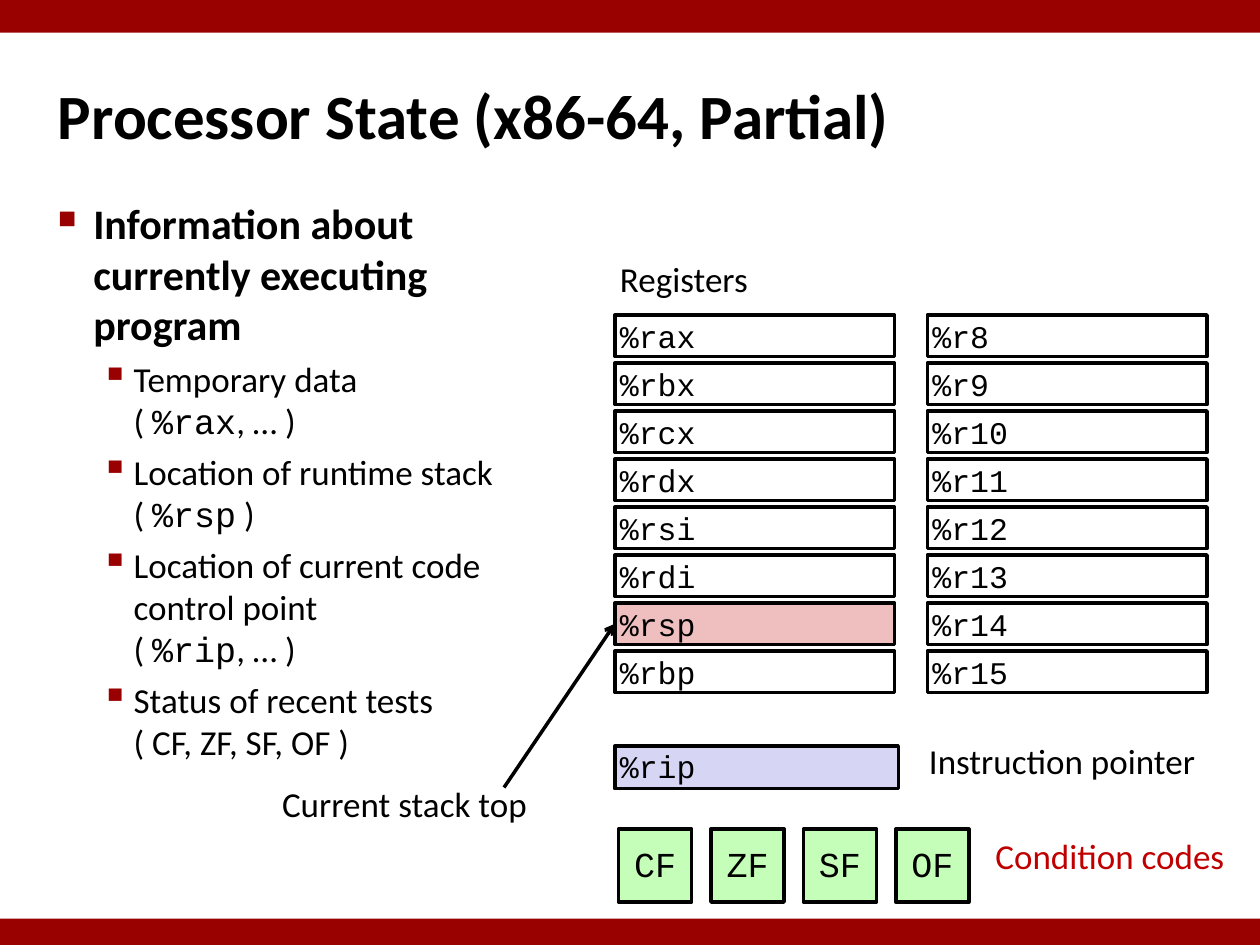
import pptx
import pptx.util
import pptx.dml.color
import pptx.enum.shapes
import pptx.enum.text
import pptx.oxml
import pptx.oxml.ns

Inches, Pt = pptx.util.Inches, pptx.util.Pt
ALIGN, ANCHOR = pptx.enum.text.PP_ALIGN, pptx.enum.text.MSO_ANCHOR
RECTANGLE = pptx.enum.shapes.MSO_SHAPE.RECTANGLE

THEME = {
    "text": "Calibri", "code": "Courier New",
    "title_size": 36, "heading_size": 24, "body_size": 20, "register_size": 18,
    "black": "000000", "bar": "990000", "accent": "C00000",
    "stack": "EFBFBF", "pointer": "D6D6F4", "flag": "C5FEB8",
}

# Grid: slide size, two register columns and evenly spaced rows
WIDTH, HEIGHT = 10, 7.5
MARGIN, BAR_HEIGHT = 0.42, 0.26
COLUMNS = (4.88, 7.36)
FIRST_ROW, ROW_STEP = 2.5, 0.381
CELL_WIDTH, CELL_HEIGHT = 2.22, 0.33
FLAG_LEFT, FLAG_TOP, FLAG_STEP, FLAG_SIZE = 4.91, 6.58, 0.733, 0.58


def write(paragraph, text, size, font="text", color="black", bold=False):
    """Add one formatted run to a paragraph."""
    run = paragraph.add_run()
    run.text = text
    formats = {"name": THEME[font], "size": Pt(THEME[size]), "bold": bold}
    for name, value in formats.items():
        setattr(run.font, name, value)
    run.font.color.rgb = pptx.dml.color.RGBColor.from_string(THEME[color])


def add_box(left, top, width, height, fill=None, outline=True, wrap=True, plain=False):
    """Add a rectangle, or a plain text box, with the common insets."""
    bounds = [Inches(value) for value in (left, top, width, height)]
    if plain:
        shape = slide.shapes.add_textbox(*bounds)
    else:
        shape = slide.shapes.add_shape(RECTANGLE, *bounds)
        shape.shadow.inherit = False
        if fill:
            shape.fill.solid()
            shape.fill.fore_color.rgb = pptx.dml.color.RGBColor.from_string(THEME[fill])
        else:
            shape.fill.background()
        if outline:
            shape.line.color.rgb = pptx.dml.color.RGBColor.from_string(THEME["black"])
            shape.line.width = Pt(2)
        else:
            shape.line.fill.background()
    formats = {f"margin_{side}": Inches(0.04) for side in ("left", "top", "right", "bottom")}
    formats["word_wrap"] = wrap
    formats["vertical_anchor"] = ANCHOR.TOP if plain else ANCHOR.MIDDLE
    for name, value in formats.items():
        setattr(shape.text_frame, name, value)
    shape.text_frame.paragraphs[0].alignment = ALIGN.LEFT
    return shape


presentation = pptx.Presentation()
presentation.slide_width, presentation.slide_height = Inches(WIDTH), Inches(HEIGHT)
slide = presentation.slides.add_slide(presentation.slide_layouts[5])

# Bars along the top and bottom edges
for top in (0, 7.29):
    add_box(0, top, WIDTH, BAR_HEIGHT, "bar", outline=False)

# Title
title = slide.shapes.title
bounds = {"left": MARGIN, "top": 0.28, "width": 9.17, "height": 1.25}
for name, value in bounds.items():
    setattr(title, name, Inches(value))
for side in ("left", "top", "right", "bottom"):
    setattr(title.text_frame, f"margin_{side}", Inches(0.04))
title.text_frame.vertical_anchor = ANCHOR.MIDDLE
title.text_frame.paragraphs[0].alignment = ALIGN.LEFT
write(title.text_frame.paragraphs[0], "Processor State (x86-64, Partial)", "title_size", bold=True)

# Bulleted list: lines of (text, font) runs at two levels
bullets = [
    (0, [[("Information about currently executing program", "text")]]),
    (1, [[("Temporary data", "text")],
         [("( ", "text"), ("%rax", "code"), (", … )", "text")]]),
    (1, [[("Location of runtime stack", "text")],
         [("( ", "text"), ("%rsp", "code"), (" )", "text")]]),
    (1, [[("Location of current code control point", "text")],
         [("( ", "text"), ("%rip", "code"), (", … )", "text")]]),
    (1, [[("Status of recent tests", "text")], [("( CF, ZF, SF, OF )", "text")]]),
]
levels = [
    {"indent": 0.28, "hang": 0.28, "mark": "■", "percent": 60, "size": "heading_size"},
    {"indent": 0.6, "hang": 0.26, "mark": "▪", "percent": 110, "size": "body_size"},
]
body = add_box(MARGIN, 1.53, 3.65, 5.7, plain=True).text_frame
for index, (level, lines) in enumerate(bullets):
    style = levels[level]
    paragraph = body.add_paragraph() if index else body.paragraphs[0]
    paragraph.level = level
    paragraph.space_before = Pt(5 if index else 0)
    properties = paragraph._p.get_or_add_pPr()
    properties.set("marL", str(Inches(style["indent"])))
    properties.set("indent", str(-Inches(style["hang"])))
    namespace = pptx.oxml.ns.nsdecls("a")
    for element in (
        f'<a:buClr {namespace}><a:srgbClr val="{THEME["bar"]}"/></a:buClr>',
        f'<a:buSzPct {namespace} val="{style["percent"] * 1000}"/>',
        f'<a:buChar {namespace} char="{style["mark"]}"/>',
    ):
        properties.append(pptx.oxml.parse_xml(element))
    for line_index, line in enumerate(lines):
        if line_index:
            paragraph.add_line_break()
        for text, font in line:
            write(paragraph, text, style["size"], font, bold=level == 0)

# Register file
registers = [
    ["%rax", "%rbx", "%rcx", "%rdx", "%rsi", "%rdi", "%rsp", "%rbp"],
    [f"%r{number}" for number in range(8, 16)],
]
for left, names in zip(COLUMNS, registers):
    for row, name in enumerate(names):
        fill = "stack" if name == "%rsp" else None
        cell = add_box(left, FIRST_ROW + row * ROW_STEP, CELL_WIDTH, CELL_HEIGHT, fill)
        write(cell.text_frame.paragraphs[0], name, "register_size", "code")
        if name == "%rsp":
            stack_register = cell

# Instruction pointer
pointer = add_box(COLUMNS[0], 5.92, 2.25, 0.34, "pointer").text_frame.paragraphs[0]
pointer.line_spacing = 0.95
write(pointer, "%rip", "register_size", "code")

# Condition codes
for index, name in enumerate(("CF", "ZF", "SF", "OF")):
    flag = add_box(FLAG_LEFT + index * FLAG_STEP, FLAG_TOP, FLAG_SIZE, FLAG_SIZE, "flag")
    paragraph = flag.text_frame.paragraphs[0]
    paragraph.alignment, paragraph.line_spacing = ALIGN.CENTER, 0.95
    write(paragraph, name, "body_size", "code")

# Labels
labels = [
    ("Registers", COLUMNS[0], 2, 1.12, ALIGN.LEFT, "black"),
    ("Current stack top", 2.17, 6.17, 2.08, ALIGN.CENTER, "black"),
    ("Instruction pointer", 7.3, 5.83, 2.26, ALIGN.CENTER, "black"),
    ("Condition codes", 7.86, FLAG_TOP, 1.97, ALIGN.LEFT, "accent"),
]
for text, left, top, width, alignment, color in labels:
    label = add_box(left, top, width, 0.42, wrap=False, plain=True)
    label.text_frame.paragraphs[0].alignment = alignment
    write(label.text_frame.paragraphs[0], text, "body_size", color=color)

# Arrow from the stack top label to its register
arrow = slide.shapes.add_connector(
    pptx.enum.shapes.MSO_CONNECTOR.STRAIGHT, Inches(4), Inches(6.25), Inches(4.88), Inches(4.95))
arrow.end_connect(stack_register, 1)
arrow.line.color.rgb = pptx.dml.color.RGBColor.from_string(THEME["black"])
arrow.line.width = Pt(2)
namespace = pptx.oxml.ns.nsdecls("a")
arrow.line._get_or_add_ln().append(pptx.oxml.parse_xml(f'<a:tailEnd {namespace} type="arrow"/>'))
arrow._element.spPr.append(pptx.oxml.parse_xml(f"<a:effectLst {namespace}/>"))

presentation.save("out.pptx")
